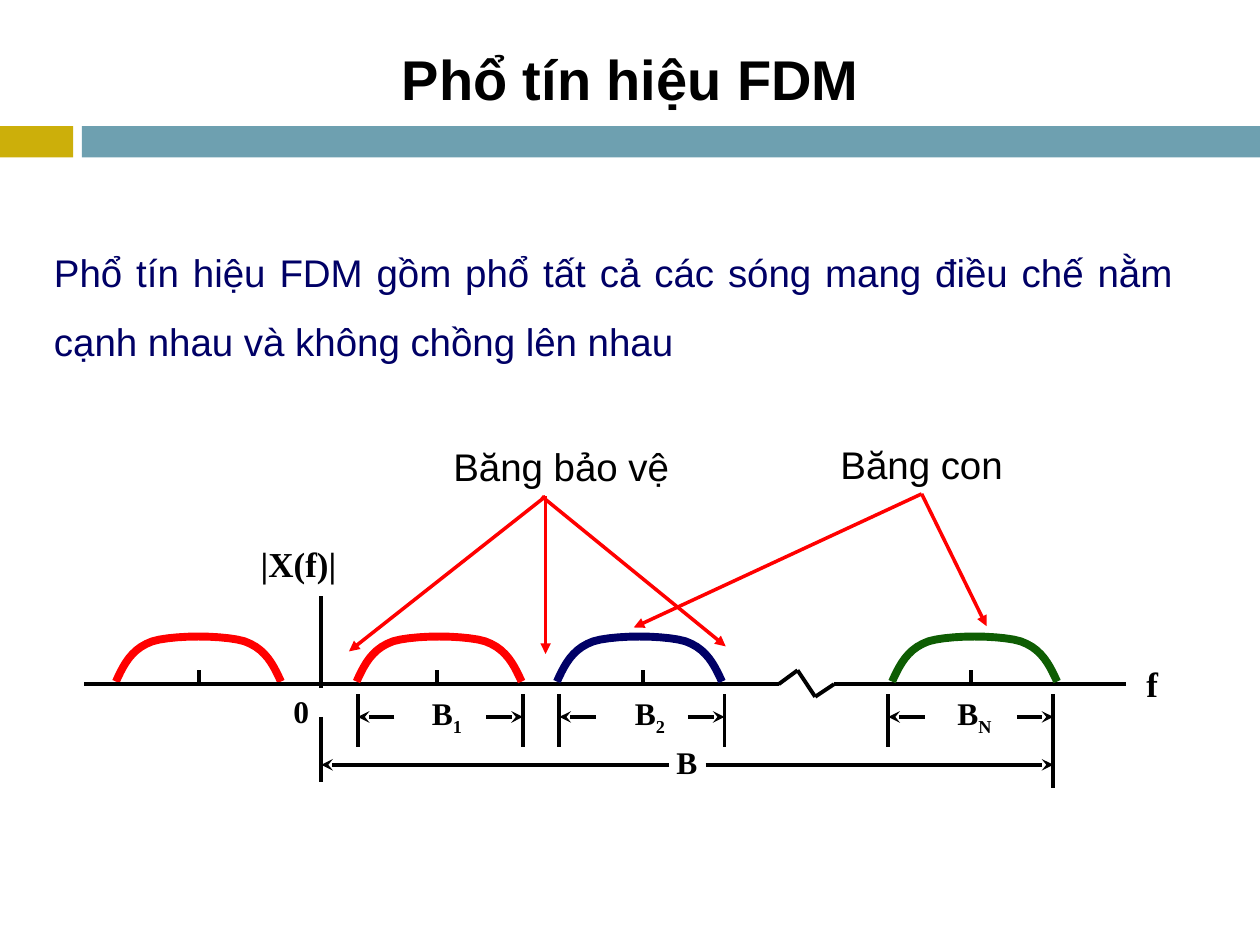
"""Build a slide showing the spectrum of an FDM signal."""
from dataclasses import dataclass
from itertools import pairwise

from lxml.etree import SubElement
from pptx import Presentation
from pptx.dml.color import RGBColor
from pptx.enum.shapes import MSO_CONNECTOR as Connector, MSO_SHAPE as Shape
from pptx.enum.text import MSO_ANCHOR as Anchor, PP_ALIGN as Align
from pptx.oxml.ns import qn
from pptx.shapes.autoshape import Shape as Box
from pptx.shapes.connector import Connector as Line
from pptx.slide import Slide
from pptx.util import Inches, Pt

COLORS = {
    "gold": "CCAF0A", "teal": "6EA0B0", "black": "000000",
    "navy": "000066", "red": "FF0000", "green": "0E5D03",
}
SERIF = "Times New Roman"
AXIS_Y = 5.43
ORIGIN_X = 2.55
BAND_WIDTH = 1.31
ARROW_Y = 5.69
ARROW_LENGTH = 0.29
TOTAL_Y = 6.07
ARC_BASE = 5.41
ARC_CURVES = (
    ((0, 0), (0.06, 0.13), (0.12, 0.26), (0.29, 0.32)),
    ((0.29, 0.32), (0.46, 0.37), (0.85, 0.37), (1.02, 0.32)),
    ((1.02, 0.32), (1.19, 0.26), (1.25, 0.13), (1.31, 0)),
)
CURVE_STEPS = 10


@dataclass(frozen=True)
class Band:
    left: float
    arc_left: float
    center: float
    label_left: float
    index: str
    color: str
    stem_bottom: float = 5.93


BANDS = (
    Band(2.84, 2.83, 3.47, 3.33, "1", "red"),
    Band(4.44, 4.42, 5.10, 4.94, "2", "navy"),
    Band(7.05, 7.08, 7.71, 7.50, "N", "green", 6.25),
)


def rgb(name: str) -> RGBColor:
    return RGBColor.from_string(COLORS[name])


def add_bar(page: Slide, left: float, width: float, color: str) -> None:
    bar = page.shapes.add_shape(
        Shape.RECTANGLE, Inches(left), Inches(1), Inches(width), Inches(0.25))
    bar.shadow.inherit = False
    bar.fill.solid()
    bar.fill.fore_color.rgb = rgb(color)
    bar.line.fill.background()


def add_text(page: Slide, text: str, left: float, top: float, width: float,
             height: float, *, size: float = 18, font: str = SERIF,
             color: str = "black", bold: bool = False, subscript: str = "",
             align: Align = Align.LEFT, anchor: Anchor = Anchor.TOP,
             spacing: float = 1.0) -> Box:
    box = page.shapes.add_textbox(
        Inches(left), Inches(top), Inches(width), Inches(height))
    frame = box.text_frame
    frame.word_wrap = True
    frame.vertical_anchor = anchor
    para = frame.paragraphs[0]
    para.alignment = align
    para.line_spacing = spacing
    for part in filter(None, (text, subscript)):
        span = para.add_run()
        span.text = part
        span.font.size = Pt(size)
        span.font.name = font
        span.font.bold = bold
        span.font.color.rgb = rgb(color)
    if subscript:
        span.font._element.set("baseline", "-25000")
    return box


def add_line(page: Slide, start: tuple[float, float], end: tuple[float, float],
             *, color: str = "black", width: float = 2.25,
             arrow: str = "") -> Line:
    line = page.shapes.add_connector(
        Connector.STRAIGHT, *(Inches(value) for value in (*start, *end)))
    line.line.color.rgb = rgb(color)
    line.line.width = Pt(width)
    if arrow:
        SubElement(line.line._get_or_add_ln(), qn("a:tailEnd"), type=arrow)
    SubElement(line._element.spPr, qn("a:effectLst"))
    return line


def add_arc(page: Slide, left: float, color: str) -> None:
    points = []
    for curve in ARC_CURVES:
        for step in range(CURVE_STEPS + 1):
            t = step / CURVE_STEPS
            weights = ((1 - t) ** 3, 3 * t * (1 - t) ** 2,
                       3 * t ** 2 * (1 - t), t ** 3)
            x, y = (sum(w * point[axis] for w, point in zip(weights, curve))
                    for axis in (0, 1))
            points.append((Inches(left + x), Inches(ARC_BASE - y)))
    builder = page.shapes.build_freeform(*points[0])
    builder.add_line_segments(points[1:], close=False)
    arc = builder.convert_to_shape()
    arc.shadow.inherit = False
    arc.fill.background()
    arc.line.color.rgb = rgb(color)
    arc.line.width = Pt(4.5)


def add_band(page: Slide, band: Band) -> None:
    right = band.left + BAND_WIDTH
    add_arc(page, band.arc_left, band.color)
    add_line(page, (band.center, 5.32), (band.center, AXIS_Y))
    add_text(page, "B", band.label_left, 5.46, 0.73, 0.32,
             bold=True, subscript=band.index)
    for edge, inward, bottom in ((band.left, ARROW_LENGTH, 5.93),
                                 (right, -ARROW_LENGTH, band.stem_bottom)):
        add_line(page, (edge, 5.51), (edge, bottom))
        add_line(page, (edge + inward, ARROW_Y), (edge, ARROW_Y), arrow="stealth")


def add_axes(page: Slide) -> None:
    add_arc(page, 0.92, "red")
    add_line(page, (1.58, 5.32), (1.58, AXIS_Y))
    axis = ((0.67, AXIS_Y), (6.18, AXIS_Y), (6.33, 5.32),
            (6.47, 5.53), (6.62, AXIS_Y), (8.94, AXIS_Y))
    for start, end in pairwise(axis):
        add_line(page, start, end)
    add_line(page, (ORIGIN_X, 5.46), (ORIGIN_X, 4.73))
    add_line(page, (ORIGIN_X, ARROW_Y), (ORIGIN_X, 6.21))
    add_text(page, "0", 2.23, 5.44, 0.44, 0.32, bold=True)
    add_text(page, "f", 9, 5.21, 0.44, 0.32, size=20, bold=True)
    add_text(page, "|X(f)|", 1.97, 4.26, 0.87, 0.32, size=20, bold=True)


def add_total_width(page: Slide) -> None:
    right = BANDS[-1].left + BAND_WIDTH
    for inner, outer in ((5.31, ORIGIN_X), (5.6, right)):
        add_line(page, (inner, TOTAL_Y), (outer, TOTAL_Y), arrow="stealth")
    add_text(page, "B", 5.27, 5.85, 0.73, 0.32, bold=True)


def add_callouts(page: Slide) -> None:
    add_text(page, "Băng bảo vệ", 3.5, 3.47, 2.43, 0.47, size=22, font="Arial")
    for start_x, end in ((4.33, (4.33, 5.19)), (4.33, (2.77, 5.17)),
                         (4.3, (5.76, 5.13))):
        add_line(page, (start_x, 3.94), end, color="red", width=2, arrow="triangle")
    box = add_text(page, "Băng con", 6.4, 3.45, 1.83, 0.47, size=22,
                   font="Arial", align=Align.CENTER)
    for end in ((7.83, 4.97), (5.03, 4.98)):
        pointer = add_line(page, (7.31, 3.92), end, color="red", width=2,
                           arrow="triangle")
        pointer.begin_connect(box, 2)


def main() -> None:
    deck = Presentation()
    deck.slide_width, deck.slide_height = Inches(10), Inches(7.5)
    page = deck.slides.add_slide(deck.slide_layouts[6])
    add_bar(page, 0, 0.58, "gold")
    add_bar(page, 0.65, 9.35, "teal")
    add_text(page, "Phổ tín hiệu FDM", 0.42, 0.17, 9.17, 0.9, size=32,
             font="Arial", bold=True, align=Align.CENTER, anchor=Anchor.MIDDLE)
    add_text(page, "Phổ tín hiệu FDM gồm phổ tất cả các sóng mang điều chế "
             "nằm cạnh nhau và không chồng lên nhau", 0.33, 1.75, 9.08, 1.18,
             size=22, font="Arial", color="navy", align=Align.JUSTIFY,
             anchor=Anchor.MIDDLE, spacing=1.5)
    add_axes(page)
    for band in BANDS:
        add_band(page, band)
    add_total_width(page)
    add_callouts(page)
    deck.save("out.pptx")


if __name__ == "__main__":
    main()
